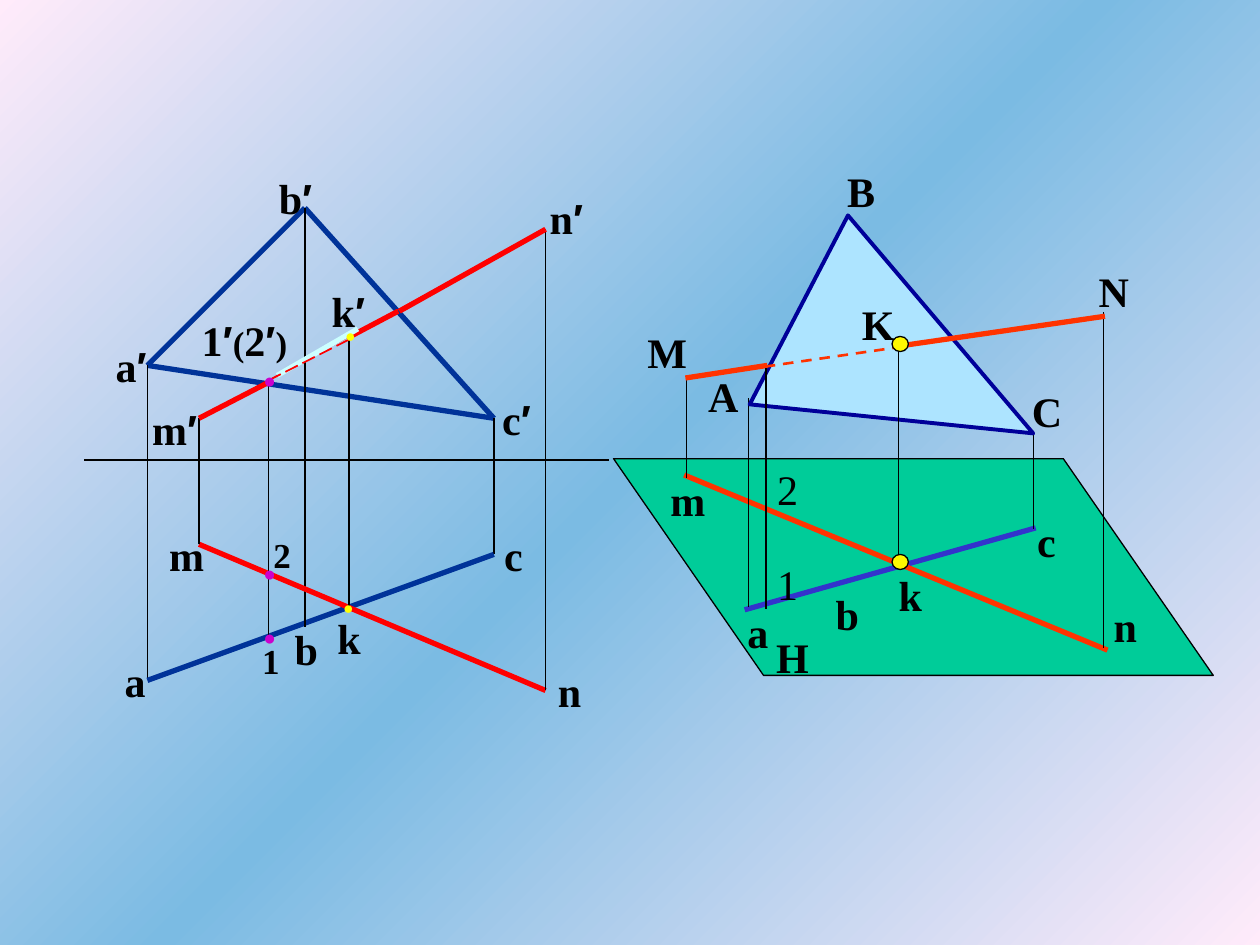
from copy import deepcopy
from typing import NamedTuple

from lxml import etree
from pptx import Presentation
from pptx.dml.color import RGBColor
from pptx.enum.dml import MSO_LINE
from pptx.enum.shapes import MSO_CONNECTOR, MSO_SHAPE
from pptx.enum.text import MSO_ANCHOR, MSO_AUTO_SIZE, PP_ALIGN
from pptx.oxml.ns import qn
from pptx.util import Inches, Pt

STRAIGHT = MSO_CONNECTOR.STRAIGHT
ELLIPSE, PARALLELOGRAM = MSO_SHAPE.OVAL, MSO_SHAPE.PARALLELOGRAM
DASH, LONG_DASH = MSO_LINE.DASH, MSO_LINE.LONG_DASH
CENTER, LEFT = PP_ALIGN.CENTER, PP_ALIGN.LEFT
MIDDLE, FIT_TEXT = MSO_ANCHOR.MIDDLE, MSO_AUTO_SIZE.SHAPE_TO_FIT_TEXT

BLACK, BLUE, RED, ORANGE = "000000", "003399", "FF0000", "FF3300"
CYAN, YELLOW, MAGENTA, VIOLET = "CCFFFF", "FFFF00", "CC00CC", "3333CC"
HEIGHTS = {24: 0.5, 20: 0.44, 12: 0.3, 10: 0.27}  # box height by text size


class Line(NamedTuple):
    start: tuple
    end: tuple
    color: str = BLACK
    width: float = 0.75
    dash: object = None


class Label(NamedTuple):
    text: str
    left: float
    top: float
    width: float
    size: int = 24
    bold: bool = True
    color: str = BLACK
    align: object = CENTER


def rgb(color: str) -> RGBColor:
    return RGBColor.from_string(color)


def draw_line(shapes, line: Line) -> None:
    ends = [Inches(v) for v in line.start + line.end]
    cxn = shapes.add_connector(STRAIGHT, *ends)
    cxn.line.color.rgb = rgb(line.color)
    cxn.line.width = Pt(line.width)
    if line.dash is not None:
        cxn.line.dash_style = line.dash
    etree.SubElement(cxn._element.spPr, qn("a:effectLst"))


def draw_label(shapes, label: Label) -> None:
    box = [label.left, label.top, label.width, HEIGHTS[label.size]]
    tf = shapes.add_textbox(*[Inches(v) for v in box]).text_frame
    tf.word_wrap = False
    tf.auto_size = FIT_TEXT
    tf.vertical_anchor = MIDDLE
    p = tf.paragraphs[0]
    p.alignment = label.align
    for char in label.text:
        r = p.add_run()
        r.text = char
        r.font.name = "Arial" if char == "′" else "Times New Roman"
        r.font.size = Pt(20 if char in "()" else label.size)
        r.font.bold = label.bold
        r.font.color.rgb = rgb(label.color)


def style(sp, fill: str, line: str, width: float) -> None:
    sp.shadow.inherit = False
    sp.fill.solid()
    sp.fill.fore_color.rgb = rgb(fill)
    sp.line.color.rgb = rgb(line)
    sp.line.width = Pt(width)


def draw_shape(shapes, kind, box: tuple, fill: str):
    sp = shapes.add_shape(kind, *[Inches(v) for v in box])
    style(sp, fill, BLACK, 0.75)
    return sp


def draw_polygon(shapes, points: list, fill: str, line: str, width: float) -> None:
    corners = [(Inches(x), Inches(y)) for x, y in points]
    builder = shapes.build_freeform(*corners[0])
    builder.add_line_segments(corners[1:], close=True)
    style(builder.convert_to_shape(), fill, line, width)


def set_background(slide, colors: list) -> None:
    fill = slide.background.fill
    fill.gradient()
    fill.gradient_angle = 135
    stops = slide._element.find(".//" + qn("a:gsLst"))
    stops.insert(1, deepcopy(stops[0]))
    for i, (stop, color) in enumerate(zip(fill.gradient_stops, colors)):
        stop.position = i / 2
        stop.color.rgb = rgb(color)


def draw_projections(shapes) -> None:
    # Front view above the axis, top view below it
    a2, b2, c2, m2, n2 = (1.17, 2.9), (2.42, 1.65), (3.92, 3.32), (1.58, 3.32), (4.33, 1.82)
    a1, c1, m1, n1 = (1.17, 5.4), (3.92, 4.4), (1.58, 4.32), (4.33, 5.48)
    lines = [
        Line((0.67, 3.65), (4.83, 3.65)),
        Line(a2, c2, BLUE, 3), Line(a2, b2, BLUE, 3), Line(b2, c2, BLUE, 3),
        Line(a2, a1), Line(c2, c1),
        Line(a1, c1, BLUE, 3),
        Line(b2, (2.42, 4.98)),
        Line(m1, n1, RED, 3),
        Line(m1, m2), Line(n1, n2), Line(m2, n2, RED),
        # Visible and hidden parts of m′n′
        Line((3.17, 2.47), n2, RED, 3), Line(m2, (2.14, 3.03), RED, 3),
        Line((2.77, 4.85), (2.77, 2.66)),
        Line((2.8, 2.66), (3.16, 2.47), RED, 3),
        Line((2.2, 2.98), (2.84, 2.61), CYAN, 3),
        Line((2.13, 3.03), (2.13, 5.09)),
        Line((2.13, 3.02), (2.78, 2.69), RED, 1, LONG_DASH),
    ]
    labels = [
        Label("a", 0.89, 5.15, 0.36), Label("b", 2.24, 4.9, 0.38),
        Label("c", 3.9, 4.15, 0.35), Label("m", 1.24, 4.15, 0.48),
        Label("n", 4.33, 5.23, 0.38), Label("c′", 3.87, 3.07, 0.46),
        Label("n′", 4.25, 1.48, 0.49), Label("b′", 2.1, 1.32, 0.49),
        Label("a′", 0.8, 2.65, 0.48), Label("m′", 1.09, 3.15, 0.59),
        Label("1′(2′)", 1.3, 2.45, 1.28), Label("k", 2.58, 4.81, 0.38),
        Label("●", 2.22, 4.69, 1.09, 10, True, YELLOW),
        Label("2", 2.07, 4.18, 0.34, 20), Label("1", 1.98, 5.02, 0.34, 20),
        Label("k′", 2.52, 2.22, 0.49),
        Label("●", 1.87, 2.53, 1.82, 10, True, YELLOW),
    ]
    labels += [Label("●", 1.99, top, 0.3, 12, False, MAGENTA) for top in (4.4, 4.91, 2.87)]
    for line in lines:
        draw_line(shapes, line)
    for label in labels:
        draw_label(shapes, label)


def draw_space_view(shapes) -> None:
    # Plane H
    plane = draw_shape(shapes, PARALLELOGRAM, (4.87, 3.64, 4.76, 1.72), "00CC99")
    plane.adjustments[0] = 0.692
    plane._element.spPr.find(qn("a:xfrm")).set("flipH", "1")

    # Lines behind the triangle, then the triangle, then the lines in front
    behind = [
        Line((5.91, 4.84), (8.22, 4.19), VIOLET, 3),
        Line((5.43, 3.77), (8.79, 5.16), ORANGE, 3),
        Line((8.2, 4.2), (8.2, 3.42)), Line((5.94, 4.82), (5.94, 3.16)),
    ]
    in_front = [
        Line((7.13, 4.47), (7.13, 2.74)), Line((5.45, 3.79), (5.45, 2.98)),
        Line((8.76, 5.14), (8.76, 2.48)),
        Line((8.77, 2.51), (7.11, 2.75), ORANGE, 3),
        Line((6.09, 2.9), (5.44, 3), ORANGE, 3),
        Line((6.07, 2.91), (7.24, 2.74), ORANGE, 1.5, DASH),
        Line((6.08, 4.83), (6.08, 2.92)),
    ]
    for line in behind:
        draw_line(shapes, line)
    draw_polygon(shapes, [(8.2, 3.44), (5.95, 3.21), (6.73, 1.71)], "ADE4FF", "000099", 2.25)
    for line in in_front:
        draw_line(shapes, line)

    # Intersection point and its projection
    for top in (2.67, 4.4):
        draw_shape(shapes, ELLIPSE, (7.08, top, 0.13, 0.12), "FEF800")

    labels = [
        Label("m", 5.22, 3.72, 0.48), Label("b", 6.47, 4.62, 0.51),
        Label("c", 8.13, 4.04, 0.35), Label("k", 6.97, 4.47, 0.51),
        Label("A", 5.52, 2.89, 0.44), Label("C", 8.09, 3.01, 0.44),
        Label("B", 6.55, 1.26, 0.57), Label("K", 6.74, 2.32, 0.46),
        Label("M", 5.04, 2.54, 0.51), Label("N", 8.62, 2.06, 0.44),
        Label("n", 8.74, 4.72, 0.38), Label("H", 6.06, 4.96, 0.46),
        Label("a", 5.76, 4.76, 0.51),
        Label("1", 6.07, 4.38, 0.36, bold=False, align=LEFT),
        Label("2", 6.07, 3.63, 0.36, bold=False, align=LEFT),
    ]
    for label in labels:
        draw_label(shapes, label)


def main() -> None:
    prs = Presentation()
    prs.slide_width, prs.slide_height = Inches(10), Inches(7.5)
    s = prs.slides.add_slide(prs.slide_layouts[6])
    set_background(s, ["FFEBFA", "7BBBE3", "FFEBFA"])
    for draw in (draw_projections, draw_space_view):
        draw(s.shapes.add_group_shape().shapes)
    prs.save("out.pptx")


if __name__ == "__main__":
    main()
